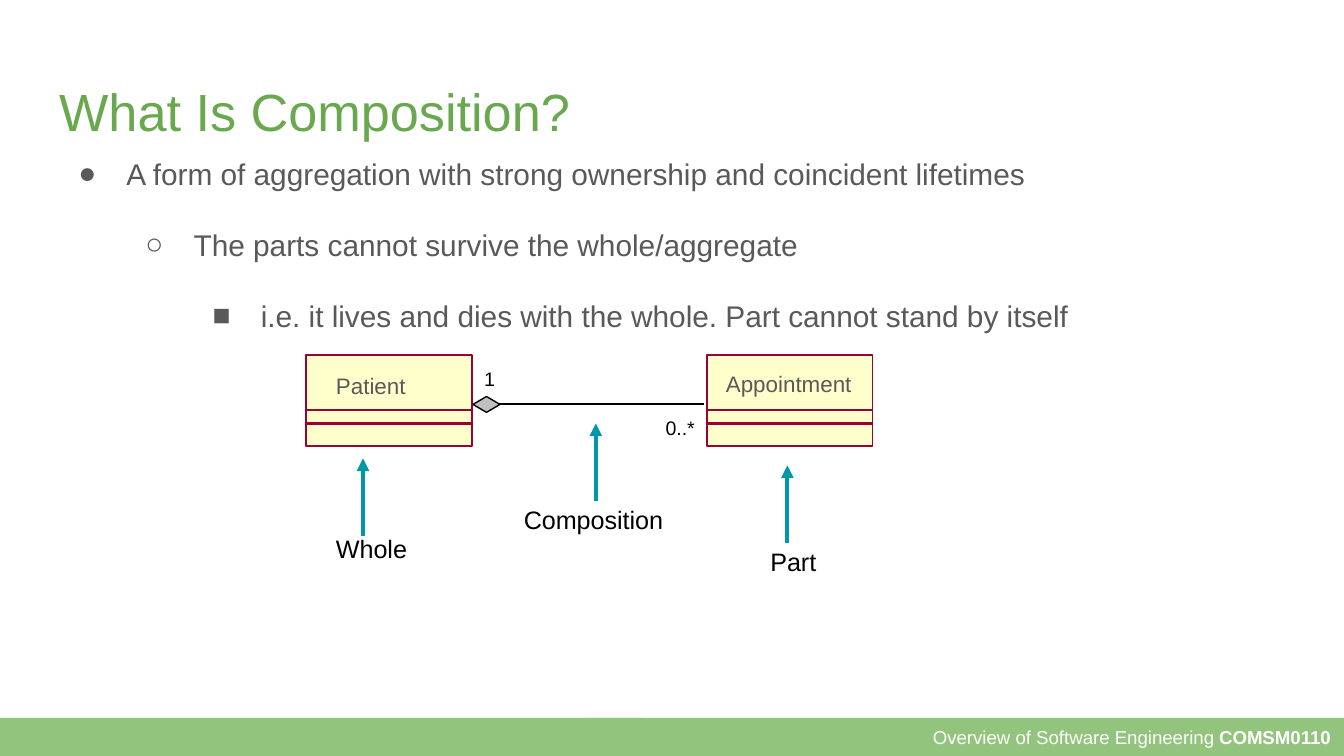
from lxml.etree import SubElement
from pptx import Presentation
from pptx.dml.color import RGBColor
from pptx.enum.shapes import MSO_CONNECTOR as Connector, MSO_SHAPE as Preset
from pptx.enum.text import MSO_ANCHOR as Anchor, MSO_AUTO_SIZE as AutoSize, PP_ALIGN as Align
from pptx.oxml.ns import qn
from pptx.util import Cm, Pt

FONT = "Arial"
BLACK, WHITE, GREY = "000000", "FFFFFF", "595959"
GREEN, LEAF = "93C47D", "6AA84F"
MAROON, CREAM, SILVER, TEAL = "990033", "FFFFCC", "C0C0C0", "0097A7"


def color(value):
    """Return the colour for a hex string."""
    return RGBColor.from_string(value)


def add_span(para, text, size, tint, bold=False):
    """Add one formatted run to a paragraph."""
    span = para.add_run()
    span.text = text
    span.font.name = FONT
    span.font.size = Pt(size)
    span.font.bold = bold
    span.font.color.rgb = color(tint)


def set_frame(box, across, down):
    """Set the insets and wrapping of a shape and return its text frame."""
    frame = box.text_frame
    frame.word_wrap = True
    frame.margin_left = frame.margin_right = Cm(across)
    frame.margin_top = frame.margin_bottom = Cm(down)
    return frame


def add_label(page, text, place, size, tint, inset=(0.2, 0.1)):
    """Add a text box holding a single run."""
    box = page.shapes.add_textbox(*map(Cm, place))
    frame = set_frame(box, *inset)
    frame.auto_size = AutoSize.SHAPE_TO_FIT_TEXT
    add_span(frame.paragraphs[0], text, size, tint)


def add_block(shapes, preset, place, fill, line=None, width=1):
    """Add a filled preset shape, outlined when a line colour is given."""
    block = shapes.add_shape(preset, *map(Cm, place))
    block.shadow.inherit = False
    block.fill.solid()
    block.fill.fore_color.rgb = color(fill)
    if line:
        block.line.color.rgb = color(line)
        block.line.width = Pt(width)
    else:
        block.line.fill.background()
    return block


def add_line(shapes, start, end, tint, width=1.1, arrow=False):
    """Add a straight connector, optionally with an arrowhead at its end."""
    line = shapes.add_connector(Connector.STRAIGHT, *map(Cm, start + end))
    line.line.color.rgb = color(tint)
    line.line.width = Pt(width)
    if arrow:
        SubElement(line.line._get_or_add_ln(), qn("a:tailEnd"), type="triangle")
    SubElement(line._element.spPr, qn("a:effectLst"))


def add_bullets(page, place, items):
    """Add a bulleted list in which each item sits one level deeper."""
    box = page.shapes.add_textbox(*map(Cm, place))
    frame = set_frame(box, 0.25, 0.25)
    for level, (mark, text) in enumerate(items):
        para = frame.add_paragraph() if level else frame.paragraphs[0]
        para.level = level
        para.line_spacing = 1.15
        para.space_before = Pt(16 if level else 0)
        props = para._p.get_or_add_pPr()
        props.set("marL", str(Cm(1.27 * (level + 1))))
        props.set("indent", str(Cm(-0.91)))
        tint = SubElement(props, qn("a:buClr"))
        SubElement(tint, qn("a:srgbClr"), val=GREY)
        SubElement(props, qn("a:buSzPts"), val="1600")
        SubElement(props, qn("a:buFont"), typeface=FONT)
        SubElement(props, qn("a:buChar"), char=mark)
        add_span(para, text, 16, GREY)


def add_class(page, name, left, name_place):
    """Add a UML class box with three compartments and its name."""
    top, width, height = 6.71, 3.13, 1.72
    group = page.shapes.add_group_shape()
    add_block(group.shapes, Preset.RECTANGLE, (left, top, width, height), CREAM, MAROON)
    for y in (7.74, 8.0):
        add_line(group.shapes, (left, y), (left + width, y), MAROON)
    add_label(page, name, name_place, 12, GREY)


def add_callout(page, text, place, arrow_x, arrow_top):
    """Add a caption with an arrow pointing up at the diagram."""
    add_label(page, text, place, 13.5, BLACK, (0.23, 0.1))
    add_line(page.shapes, (arrow_x, arrow_top + 1.47), (arrow_x, arrow_top), TEAL, 2.25, True)


def add_footer(page):
    """Add the green footer band with the course name."""
    top, height = 13.56, 0.72
    band = add_block(page.shapes, Preset.RECTANGLE, (11.02, top, 14.38, height), GREEN)
    frame = set_frame(band, 0.25, 0.25)
    frame.vertical_anchor = Anchor.MIDDLE
    para = frame.paragraphs[0]
    para.alignment = Align.RIGHT
    add_span(para, "Overview of Software Engineering ", 10, WHITE)
    add_span(para, "COMSM0110", 10, WHITE, True)
    add_block(page.shapes, Preset.RECTANGLE, (0, top, 12.14, height), GREEN)


def main():
    """Build the composition slide."""
    deck = Presentation()
    deck.slide_width, deck.slide_height = Cm(25.4), Cm(14.28)
    page = deck.slides.add_slide(deck.slide_layouts[6])
    add_footer(page)
    add_label(page, "What Is Composition?", (0.87, 1.24, 23.67, 1.6), 28, LEAF, (0.25, 0.25))
    add_bullets(page, (0.87, 2.59, 22.5, 4.06), [
        ("●", "A form of aggregation with strong ownership and coincident lifetimes"),
        ("○", "The parts cannot survive the whole/aggregate"),
        ("■", "i.e. it lives and dies with the whole. Part cannot stand by itself"),
    ])
    add_class(page, "Patient", 5.79, (6.15, 6.93, 2.49, 0.71))
    add_class(page, "Appointment", 13.36, (13.52, 6.89, 2.95, 0.71))
    add_line(page.shapes, (9.09, 7.63), (13.31, 7.63), BLACK)
    add_block(page.shapes, Preset.DIAMOND, (8.94, 7.49, 0.51, 0.3), SILVER, BLACK, 0.75)
    add_label(page, "1", (8.95, 6.83, 0.7, 0.64), 10.5, BLACK)
    add_label(page, "0..*", (12.38, 7.75, 1.1, 0.64), 10.5, BLACK)
    add_callout(page, "Whole", (6.12, 9.98, 3.33, 0.81), 6.86, 8.66)
    add_callout(page, "Composition", (9.67, 9.43, 4.19, 0.81), 11.26, 8.0)
    add_callout(page, "Part", (14.33, 10.22, 3.12, 0.81), 14.88, 8.79)
    deck.save("out.pptx")


if __name__ == "__main__":
    main()
